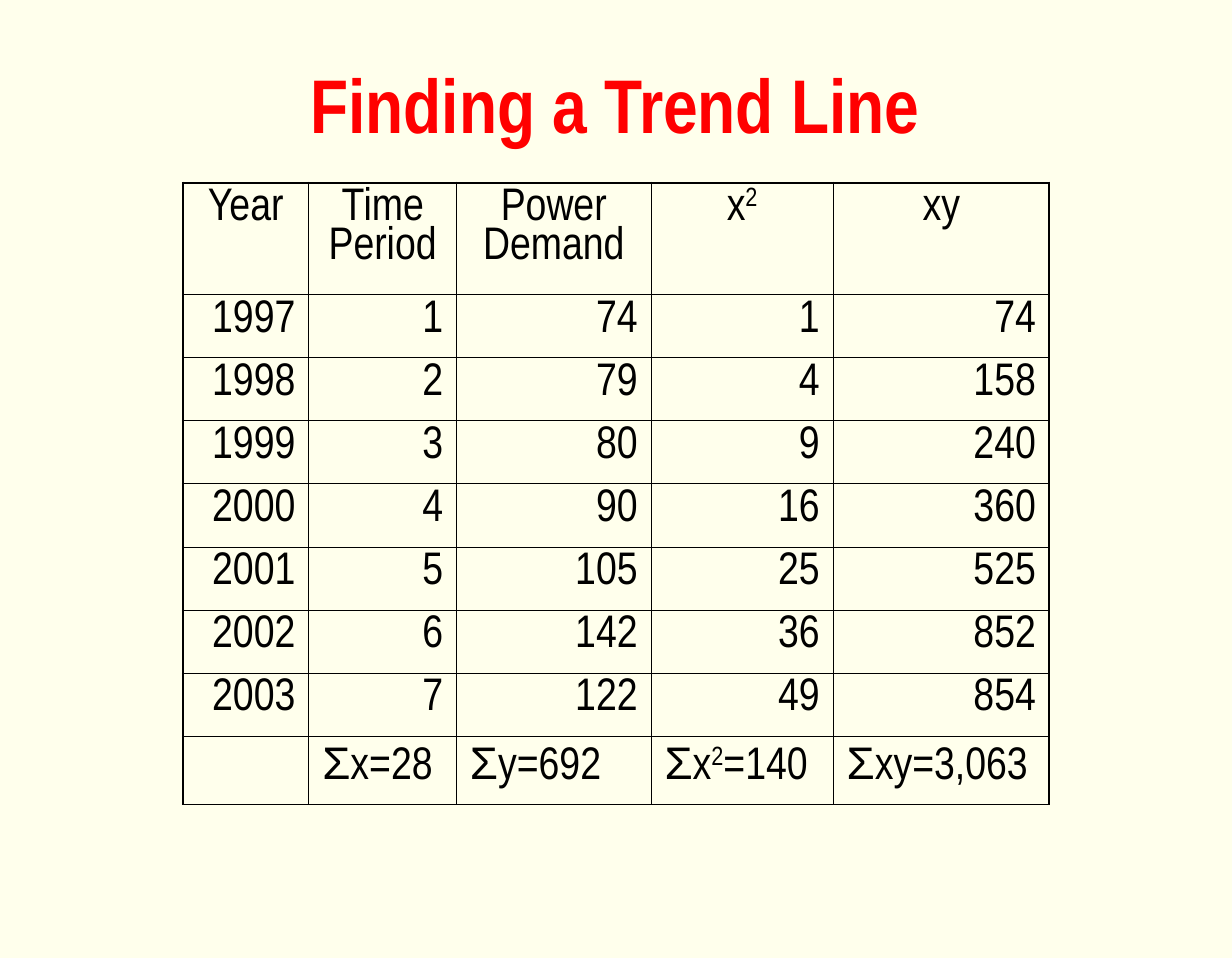
from itertools import groupby

from lxml.etree import SubElement
from pptx import Presentation
from pptx.dml.color import RGBColor
from pptx.enum.text import MSO_ANCHOR, PP_ALIGN
from pptx.oxml.ns import qn
from pptx.util import Cm, Pt

CREAM = RGBColor(0xFF, 0xFF, 0xEC)
RED = RGBColor(0xFF, 0x00, 0x00)
BLACK = RGBColor(0x00, 0x00, 0x00)

NARROW = "Arial Narrow"
SYMBOL_FONT = "Arial"
TITLE_ONLY = 5
THIN, THICK = Pt(0.45), Pt(1.08)

HEADERS = ["Year", "Time Period", "Power Demand", "x²", "xy"]
FIRST_YEAR = 1997
POWER_DEMAND = [74, 79, 80, 90, 105, 142, 122]
COLUMN_WIDTHS = [2.34, 2.74, 3.61, 3.38, 4.01]
HEADER_HEIGHT, YEAR_HEIGHT, TOTAL_HEIGHT = 2.08, 1.17, 1.27

TITLE_PLACE = {"left": Cm(1.7), "top": Cm(0.43), "width": Cm(19.43), "height": Cm(2.97)}
TITLE_FONT = {"name": NARROW, "size": Pt(40), "bold": True}
CELL_FONT = {"name": NARROW, "size": Pt(24), "bold": False}
CELL_PARAGRAPH = {"line_spacing": 0.9, "space_before": Pt(6)}
CELL_MARGINS = {
    "margin_left": Cm(0.25),
    "margin_right": Cm(0.25),
    "margin_top": Cm(0.13),
    "margin_bottom": Cm(0.13),
}


def set_format(target, values):
    for name, value in values.items():
        setattr(target, name, value)


def trend_rows():
    """Return the header, one row for each year, and the row of sums."""
    years = [
        (FIRST_YEAR + x - 1, x, y, x * x, x * y)
        for x, y in enumerate(POWER_DEMAND, start=1)
    ]
    sums = [sum(column) for column in zip(*years)][1:]
    totals = [f"Σ{name}={value:,}" for name, value in zip(["x", "y", "x²", "xy"], sums)]
    return [HEADERS, *years, ["", *totals]]


def add_title(slide, text):
    title = slide.shapes.title
    set_format(title, TITLE_PLACE)
    title.text_frame.vertical_anchor = MSO_ANCHOR.MIDDLE
    paragraph = title.text_frame.paragraphs[0]
    paragraph.alignment = PP_ALIGN.CENTER
    run = paragraph.add_run()
    run.text = text
    set_format(run.font, TITLE_FONT)
    run.font.color.rgb = RED


def write_formula(paragraph, text):
    """Write text with Σ in the symbol font and ² as a raised 2."""
    for mark, letters in groupby(text, key=lambda letter: letter if letter in "Σ²" else ""):
        run = paragraph.add_run()
        run.text = "2" if mark == "²" else "".join(letters)
        set_format(run.font, CELL_FONT)
        run.font.color.rgb = BLACK
        if mark == "Σ":
            run.font.name = SYMBOL_FONT
        elif mark == "²":
            run._r.get_or_add_rPr().set("baseline", "30000")


def add_border(cell, side, width):
    line = SubElement(cell._tc.get_or_add_tcPr(), qn(f"a:ln{side}"), w=str(width))
    fill = SubElement(line, qn("a:solidFill"))
    SubElement(fill, qn("a:srgbClr"), val=str(BLACK))


def format_cell(cell, text, alignment, outer_sides):
    set_format(cell, CELL_MARGINS)
    for side in "LRTB":
        add_border(cell, side, THICK if side in outer_sides else THIN)
    cell.fill.background()
    paragraph = cell.text_frame.paragraphs[0]
    set_format(paragraph, CELL_PARAGRAPH)
    paragraph.alignment = alignment
    write_formula(paragraph, text)


def add_trend_table(slide, rows):
    last_row, last_column = len(rows) - 1, len(HEADERS) - 1
    heights = [HEADER_HEIGHT, *[YEAR_HEIGHT] * len(POWER_DEMAND), TOTAL_HEIGHT]
    table = slide.shapes.add_table(
        len(rows), len(HEADERS), Cm(3.39), Cm(3.39),
        Cm(sum(COLUMN_WIDTHS)), Cm(sum(heights)),
    ).table
    set_format(table, {"first_row": False, "horz_banding": False})
    for column, width in zip(table.columns, COLUMN_WIDTHS):
        column.width = Cm(width)
    for row, height in zip(table.rows, heights):
        row.height = Cm(height)

    row_alignments = {0: PP_ALIGN.CENTER, last_row: PP_ALIGN.LEFT}
    row_edges = {0: "T", last_row: "B"}
    column_edges = {0: "L", last_column: "R"}
    for i, values in enumerate(rows):
        for j, value in enumerate(values):
            outer_sides = row_edges.get(i, "") + column_edges.get(j, "")
            alignment = row_alignments.get(i, PP_ALIGN.RIGHT)
            format_cell(table.cell(i, j), str(value), alignment, outer_sides)


def main():
    presentation = Presentation()
    set_format(presentation, {"slide_width": Cm(22.86), "slide_height": Cm(17.78)})
    slide = presentation.slides.add_slide(presentation.slide_layouts[TITLE_ONLY])
    slide.background.fill.solid()
    slide.background.fill.fore_color.rgb = CREAM
    add_title(slide, "Finding a Trend Line")
    add_trend_table(slide, trend_rows())
    presentation.save("out.pptx")


if __name__ == "__main__":
    main()
